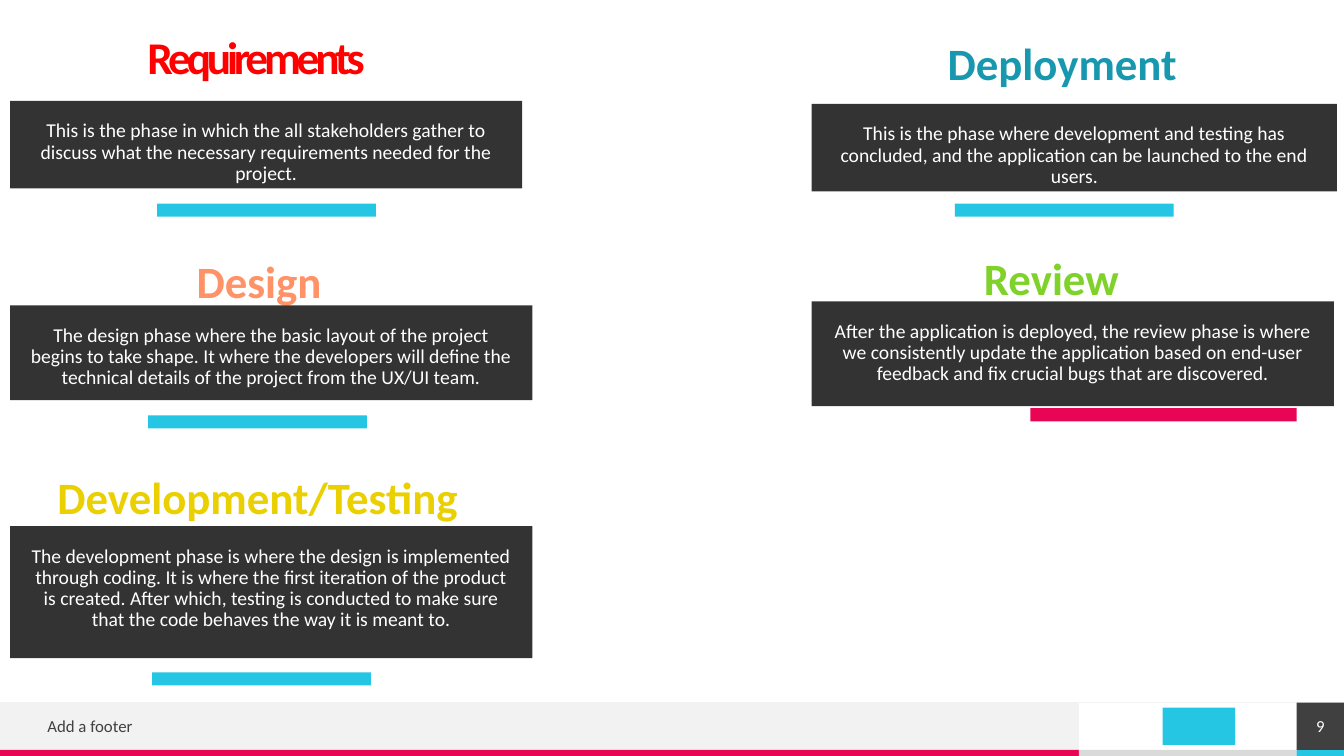
from pptx import Presentation
from pptx.dml.color import RGBColor
from pptx.enum.shapes import MSO_CONNECTOR, MSO_SHAPE
from pptx.enum.text import MSO_ANCHOR, PP_ALIGN
from pptx.oxml.ns import qn
from pptx.util import Inches, Pt
from lxml.etree import SubElement

FONT = "Calibri"
CYAN, PINK, DARK, PALE, WHITE = "25C6E3", "E80554", "404040", "F2F2F2", "FFFFFF"
LEFT, MID = PP_ALIGN.LEFT, PP_ALIGN.CENTER

PHASES = [
    ("Requirements", "FF0000", MID, (0, 0.27, 5.08, 0.64), (0.1, 1, 5.08, 0.87),
     (1.56, 2.02, 2.17), CYAN,
     "This is the phase in which the all stakeholders gather to discuss what the "
     "necessary requirements needed for the project."),
    ("Design", "FF9267", MID, (1.46, 2.47, 2.22, 0.64), (0.1, 3.03, 5.18, 0.94),
     (1.47, 4.12, 2.17), CYAN,
     "The design phase where the basic layout of the project begins to take shape. "
     "It where the developers will define the technical details of the project from "
     "the UX/UI team."),
    ("Development/Testing", "EAD000", LEFT, (0.47, 4.61, 4.55, 0.64),
     (0.1, 5.22, 5.18, 1.31), (1.51, 6.67, 2.17), CYAN,
     "The development phase is where the design is implemented through coding. It is "
     "where the first iteration of the product is created. After which, testing is "
     "conducted to make sure that the code behaves the way it is meant to."),
    ("Deployment", "1798AF", LEFT, (9.3, 0.31, 2.95, 0.64), (8.05, 1.03, 5.21, 0.87),
     (9.47, 2.02, 2.17), CYAN,
     "This is the phase where development and testing has concluded, and the "
     "application can be launched to the end users."),
    ("Review", "7FD22A", LEFT, (9.66, 2.44, 1.8, 0.64), (8.05, 2.99, 5.18, 1.04),
     (10.22, 4.05, 2.64), PINK,
     "After the application is deployed, the review phase is where we consistently "
     "update the application based on end-user feedback and fix crucial bugs that "
     "are discovered."),
]


def color(code):
    return RGBColor.from_string(code)


def block(slide, box, fill, alpha=None):
    shape = slide.shapes.add_shape(MSO_SHAPE.RECTANGLE, *map(Inches, box))
    shape.shadow.inherit = False
    shape.fill.solid()
    shape.fill.fore_color.rgb = color(fill)
    shape.line.fill.background()
    if alpha:
        tint = shape.fill._xPr.find(qn("a:solidFill"))[0]
        SubElement(tint, qn("a:alpha")).set("val", str(alpha * 1000))
    return shape


def frame(shape, pads=(0, 0, 0, 0), anchor=MSO_ANCHOR.TOP, align=LEFT, pitch=None):
    text = shape.text_frame
    text.word_wrap = True
    text.vertical_anchor = anchor
    (text.margin_left, text.margin_top,
     text.margin_right, text.margin_bottom) = map(Inches, pads)
    para = text.paragraphs[0]
    para.alignment = align
    if pitch:
        para.line_spacing = pitch
    return para


def write(para, words, size, ink, bold=False, track=None):
    run = para.add_run()
    run.text = words
    font = run.font
    font.name, font.size, font.bold = FONT, Pt(size), bold
    font.color.rgb = color(ink)
    if track:
        run._r.get_or_add_rPr().set("spc", str(round(track * 100)))


def label(slide, box):
    return slide.shapes.add_textbox(*map(Inches, box))


def title(slide, box, words, ink, align):
    shape = slide.shapes.title
    shape.left, shape.top, shape.width, shape.height = map(Inches, box)
    para = frame(shape, anchor=MSO_ANCHOR.MIDDLE, align=align, pitch=0.9)
    write(para, words, 32.4, ink, True, -3)


def phase(slide, item, first):
    name, ink, align, head, body, bar, hue, words = item
    block(slide, (*bar, 0.13), hue)
    if first:
        title(slide, head, name, ink, align)
    else:
        para = frame(label(slide, head), (0.1, 0.05, 0.1, 0.05), align=align)
        write(para, name, 32, ink, True)
    panel = block(slide, body, "000000", 80)
    write(frame(panel, (0.2,) * 4, align=MID, pitch=0.9), words, 14, WHITE)


def footer(slide, left, top, width, height):
    strip, brand, num = 10.7, 2.16, 0.47
    base = top + height - 0.06
    block(slide, (left, top, strip, height - 0.06), PALE)
    for start, span, hue in ((0, strip, PINK), (strip, brand, "DADADA"),
                             (width - num, num, CYAN)):
        block(slide, (left + start, base, span, 0.06), hue)
    rule = slide.shapes.add_connector(
        MSO_CONNECTOR.STRAIGHT, Inches(left + width), Inches(top),
        Inches(left), Inches(top))
    rule.line.color.rgb = color(PALE)
    rule.line.width = Pt(0.5)
    SubElement(rule._element.spPr, qn("a:effectLst"))

    block(slide, (left + strip + 0.83, top + 0.05, 0.72, 0.37), CYAN)
    note = label(slide, (left + 0.47, top + 0.07, 6.19, 0.32))
    write(frame(note, anchor=MSO_ANCHOR.MIDDLE), "Add a footer", 12, DARK)
    page = block(slide, (left + width - num, top, num, num), DARK)
    write(frame(page, anchor=MSO_ANCHOR.MIDDLE, align=MID), "9", 12, WHITE)


def main():
    deck = Presentation()
    deck.slide_width, deck.slide_height = Inches(13.33), Inches(7.5)
    slide = deck.slides.add_slide(deck.slide_layouts[5])
    footer(slide, 0, 6.97, 13.33, 0.53)
    for rank, item in enumerate(PHASES):
        phase(slide, item, rank == 0)
    deck.save("out.pptx")


if __name__ == "__main__":
    main()
